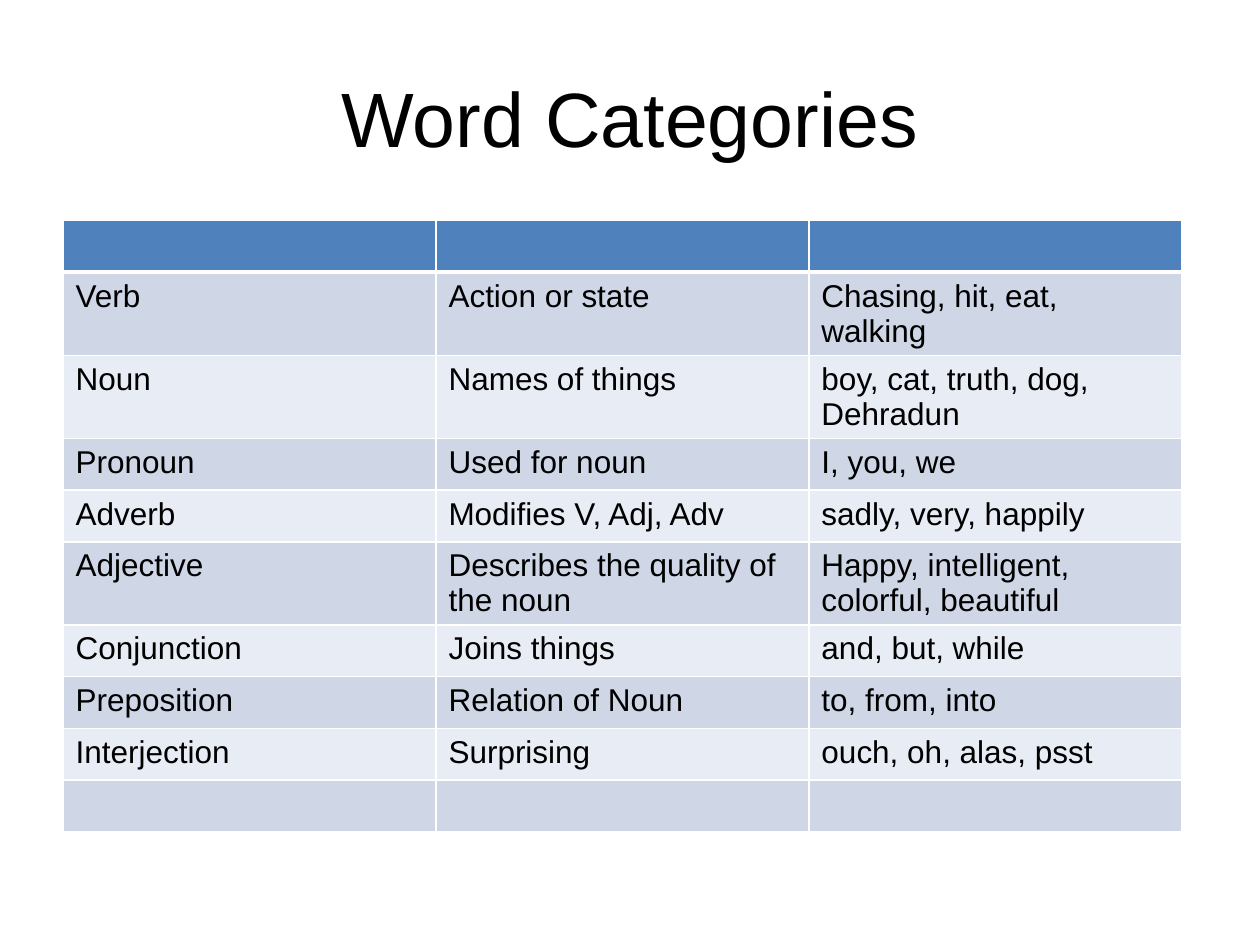
from lxml import etree
from pptx import Presentation
from pptx.dml.color import RGBColor
from pptx.enum.text import MSO_ANCHOR, PP_ALIGN
from pptx.oxml.ns import qn
from pptx.util import Inches, Pt

CENTER, MIDDLE = PP_ALIGN.CENTER, MSO_ANCHOR.MIDDLE
TITLE_ONLY = 5
FONT = "Arial"
BLACK = RGBColor(0x00, 0x00, 0x00)
WHITE = RGBColor(0xFF, 0xFF, 0xFF)
HEADER = RGBColor(0x4F, 0x81, 0xBD)
BANDS = (RGBColor(0xCF, 0xD7, 0xE7), RGBColor(0xE8, 0xEC, 0xF4))
MARGIN, COL_W, ROW_H = 0.5, 2.96, 0.41

ROWS = [
    ("", "", ""),
    ("Verb", "Action or state", "Chasing, hit, eat, walking"),
    ("Noun", "Names of things", "boy, cat, truth, dog, Dehradun"),
    ("Pronoun", "Used for noun", "I, you, we"),
    ("Adverb", "Modifies V, Adj, Adv", "sadly, very, happily"),
    ("Adjective", "Describes the quality of the noun",
     "Happy, intelligent, colorful, beautiful"),
    ("Conjunction", "Joins things", "and, but, while"),
    ("Preposition", "Relation of Noun", "to, from, into"),
    ("Interjection", "Surprising", "ouch, oh, alas, psst"),
    ("", "", ""),
]


def style_font(font, size):
    """Apply the slide's typeface and text colour at a given size."""
    font.name, font.size = FONT, Pt(size)
    font.color.rgb = BLACK


def add_title(slide, text):
    """Place and format the title placeholder."""
    sp = slide.shapes.title
    sp.left, sp.top = Inches(MARGIN), Inches(0.3)
    sp.width, sp.height = Inches(10 - 2 * MARGIN), Inches(1.25)
    tf = sp.text_frame
    tf.text, tf.vertical_anchor = text, MIDDLE
    p = tf.paragraphs[0]
    p.alignment = CENTER
    style_font(p.runs[0].font, 44)


def set_borders(cell, top, bottom):
    """Draw white cell borders with the given top and bottom widths in points."""
    tc_pr = cell._tc.get_or_add_tcPr()
    for side, width in (("L", 1), ("R", 1), ("T", top), ("B", bottom)):
        ln = etree.SubElement(tc_pr, qn(f"a:ln{side}"), w=str(Pt(width)))
        fill = etree.SubElement(ln, qn("a:solidFill"))
        etree.SubElement(fill, qn("a:srgbClr"), val=str(WHITE))


def format_cell(cell, text, row):
    """Fill one cell according to its row and set its text."""
    set_borders(cell, 3 if row == 1 else 1, 3 if row == 0 else 1)
    cell.fill.solid()
    cell.fill.fore_color.rgb = BANDS[(row - 1) % 2] if row else HEADER
    p = cell.text_frame.paragraphs[0]
    if text:
        p.text = text
        style_font(p.runs[0].font, 18)


def add_word_table(slide, rows):
    """Add the banded table of word categories."""
    n_rows, n_cols = len(rows), len(rows[0])
    table = slide.shapes.add_table(
        n_rows, n_cols, Inches(MARGIN), Inches(1.75),
        Inches(n_cols * COL_W), Inches(n_rows * ROW_H)).table
    for column in table.columns:
        column.width = Inches(COL_W)
    for i, values in enumerate(rows):
        table.rows[i].height = Inches(ROW_H)
        for j, text in enumerate(values):
            format_cell(table.cell(i, j), text, i)


def main():
    """Build the slide and save it."""
    prs = Presentation()
    prs.slide_width, prs.slide_height = Inches(10), Inches(7.5)
    slide = prs.slides.add_slide(prs.slide_layouts[TITLE_ONLY])
    add_title(slide, "Word Categories")
    add_word_table(slide, ROWS)
    prs.save("out.pptx")


if __name__ == "__main__":
    main()
